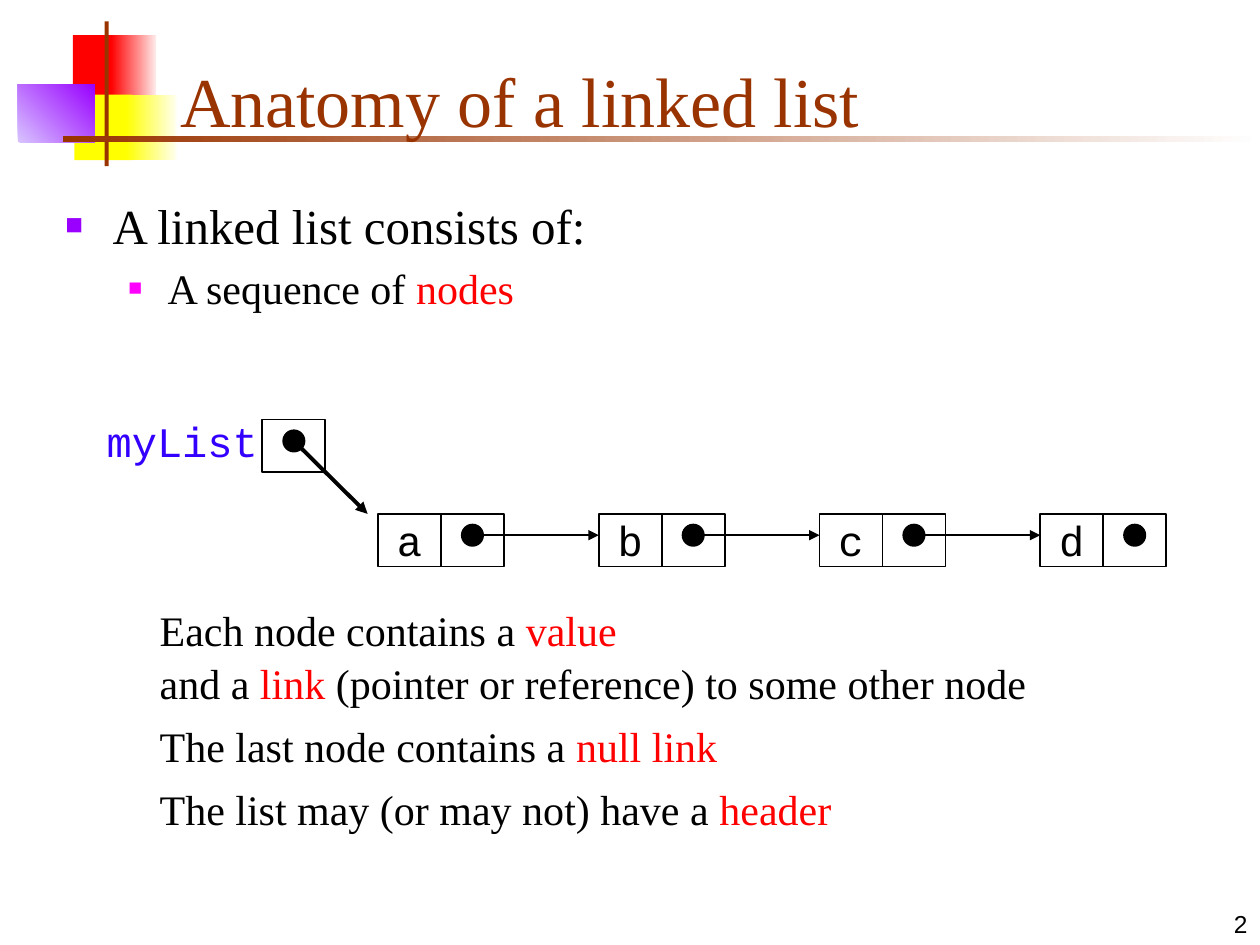
"""Build the slide that shows the anatomy of a linked list."""
from lxml.etree import SubElement
from pptx import Presentation
from pptx.dml.color import RGBColor
from pptx.enum.shapes import MSO_CONNECTOR, MSO_SHAPE
from pptx.enum.text import MSO_ANCHOR, PP_ALIGN
from pptx.oxml.ns import qn
from pptx.util import Cm, Pt

COLORS = {
    "black": "000000", "red": "FF0000", "pink": "FFEAEA", "yellow": "FFFF00",
    "cream": "FFFFF0", "lilac": "D8C4FF", "purple": "9900FF", "brown": "993300",
    "white": "FFFFFF", "magenta": "FF00FF", "blue": "3300FF",
}
SERIF, MONO, SANS = "Times New Roman", "Courier New", "Arial"

DECORATION = [
    ((1.47, 0.71, 0.89, 1.32), ["red"], 0),
    ((2.24, 0.71, 0.91, 1.32), ["red", "pink"], 0),
    ((1.5, 1.91, 1.17, 1.32), ["yellow"], 0),
    ((2.54, 1.91, 1.02, 1.32), ["yellow", "cream"], 0),
    ((0.36, 1.7, 1.55, 1.17), ["lilac", "purple"], 45),
    ((2.11, 0.43, 0.08, 2.92), ["brown"], 0),
    ((1.27, 2.74, 24.13, 0.13), ["brown", "white"], 0),
]
TITLE = "Anatomy of a linked list"
BULLETS = [
    {"runs": [("A linked list consists of:", "black")], "size": 28,
     "margin": 0.95, "hang": 0.95, "bullet": "purple", "percent": 60},
    {"runs": [("A sequence of ", "black"), ("nodes", "red")], "size": 24,
     "margin": 2.06, "hang": 0.79, "bullet": "magenta", "percent": 55},
]
STATEMENTS = [
    (12.06, [("Each node contains a ", "black"), ("value", "red")]),
    (13.13, [("and a ", "black"), ("link", "red"),
             (" (pointer or reference) to some other node", "black")]),
    (14.4, [("The last node contains a ", "black"), ("null link", "red")]),
    (15.67, [("The list may (or may not) have a ", "black"), ("header", "red")]),
]
NODES = ["a", "b", "c", "d"]
NODE_LEFT, NODE_TOP, NODE_PITCH = 7.62, 10.36, 4.45
CELL_WIDTH, CELL_HEIGHT, DOT = 1.27, 1.06, 0.43
HEADER_LEFT, HEADER_TOP = 5.29, 8.46

presentation = Presentation()
presentation.slide_width, presentation.slide_height = Cm(25.4), Cm(19.05)
slide = presentation.slides.add_slide(presentation.slide_layouts[6])


def color(name):
    return RGBColor.from_string(COLORS[name])


def lengths(values):
    return [Cm(value) for value in values]


def add_shape(kind, box, fills=(), angle=0, outlined=False):
    shape = slide.shapes.add_shape(kind, *lengths(box))
    shape.shadow.inherit = False
    if len(fills) == 2:
        shape.fill.gradient()
        shape.fill.gradient_angle = angle
        for stop, name in zip(shape.fill.gradient_stops, fills):
            stop.color.rgb = color(name)
    elif fills:
        shape.fill.solid()
        shape.fill.fore_color.rgb = color(fills[0])
    else:
        shape.fill.background()
    if outlined:
        shape.line.color.rgb = color("black")
        shape.line.width = Pt(1)
    else:
        shape.line.fill.background()
    return shape


def write(paragraph, runs, size, font=SERIF, align=PP_ALIGN.LEFT):
    paragraph.alignment = align
    paragraph.font.size = Pt(size)
    paragraph.font.name = font
    base = runs[0][1]
    paragraph.font.color.rgb = color(base)
    for text, name in runs:
        run = paragraph.add_run()
        run.text = text
        if name != base:
            run.font.color.rgb = color(name)


def add_text_frame(box, anchor=MSO_ANCHOR.TOP):
    frame = slide.shapes.add_textbox(*lengths(box)).text_frame
    frame.word_wrap = True
    frame.vertical_anchor = anchor
    return frame


def add_bullet(paragraph, item):
    properties = paragraph._p.get_or_add_pPr()
    properties.set("marL", str(Cm(item["margin"])))
    properties.set("indent", str(-Cm(item["hang"])))
    bullet_color = SubElement(properties, qn("a:buClr"))
    SubElement(bullet_color, qn("a:srgbClr"), val=COLORS[item["bullet"]])
    SubElement(properties, qn("a:buSzPct"), val=str(item["percent"] * 1000))
    SubElement(properties, qn("a:buFont"), typeface=SANS)
    SubElement(properties, qn("a:buChar"), char="■")


def add_cell(left, top):
    return add_shape(MSO_SHAPE.RECTANGLE, (left, top, CELL_WIDTH, CELL_HEIGHT), outlined=True)


def add_dot(x, y):
    add_shape(MSO_SHAPE.OVAL, (x - DOT / 2, y - DOT / 2, DOT, DOT), ["black"], outlined=True)


def add_arrow(start, end, width):
    arrow = slide.shapes.add_connector(MSO_CONNECTOR.STRAIGHT, *lengths(start + end))
    arrow.line.color.rgb = color("black")
    arrow.line.width = Pt(width)
    SubElement(arrow.line._get_or_add_ln(), qn("a:tailEnd"), type="triangle")
    SubElement(arrow._element.spPr, qn("a:effectLst"))


def add_node(index, value):
    left = NODE_LEFT + index * NODE_PITCH
    add_cell(left + CELL_WIDTH, NODE_TOP)
    frame = add_cell(left, NODE_TOP).text_frame
    frame.word_wrap = False
    frame.vertical_anchor = MSO_ANCHOR.MIDDLE
    write(frame.paragraphs[0], [(value, "black")], 24, MONO, PP_ALIGN.CENTER)
    dot_x, dot_y = left + 1.5 * CELL_WIDTH, NODE_TOP + 0.43
    add_dot(dot_x, dot_y)
    if index < len(NODES) - 1:
        add_arrow((dot_x, dot_y), (left + NODE_PITCH, dot_y), 1)


for box, fills, angle in DECORATION:
    add_shape(MSO_SHAPE.RECTANGLE, box, fills, angle)

number = add_text_frame((20.12, 17.78, 5.28, 1.27), MSO_ANCHOR.BOTTOM)
write(number.paragraphs[0], [("2", "black")], 14, SANS, PP_ALIGN.RIGHT)
title = add_text_frame((3.38, 0.64, 21.64, 2.34), MSO_ANCHOR.BOTTOM)
write(title.paragraphs[0], [(TITLE, "brown")], 40)

body = add_text_frame((1.07, 3.81, 23.83, 4.11))
for index, item in enumerate(BULLETS):
    paragraph = body.add_paragraph() if index else body.paragraphs[0]
    if index:
        paragraph.space_before = Pt(0.2 * item["size"])
    add_bullet(paragraph, item)
    write(paragraph, item["runs"], item["size"])

for index, value in enumerate(NODES):
    add_node(index, value)

for top, runs in STATEMENTS:
    write(add_text_frame((2.97, top, 19.48, 1.27)).paragraphs[0], runs, 24)

header_x, header_y = HEADER_LEFT + CELL_WIDTH / 2, HEADER_TOP + 0.43
add_dot(header_x, header_y)
add_cell(HEADER_LEFT, HEADER_TOP)
add_arrow((header_x, header_y), (7.41, NODE_TOP), 2.25)
label = add_text_frame((1.9, 8.26, 3.61, 1.3))
write(label.paragraphs[0], [("myList", "blue")], 24, MONO)

presentation.save("out.pptx")
